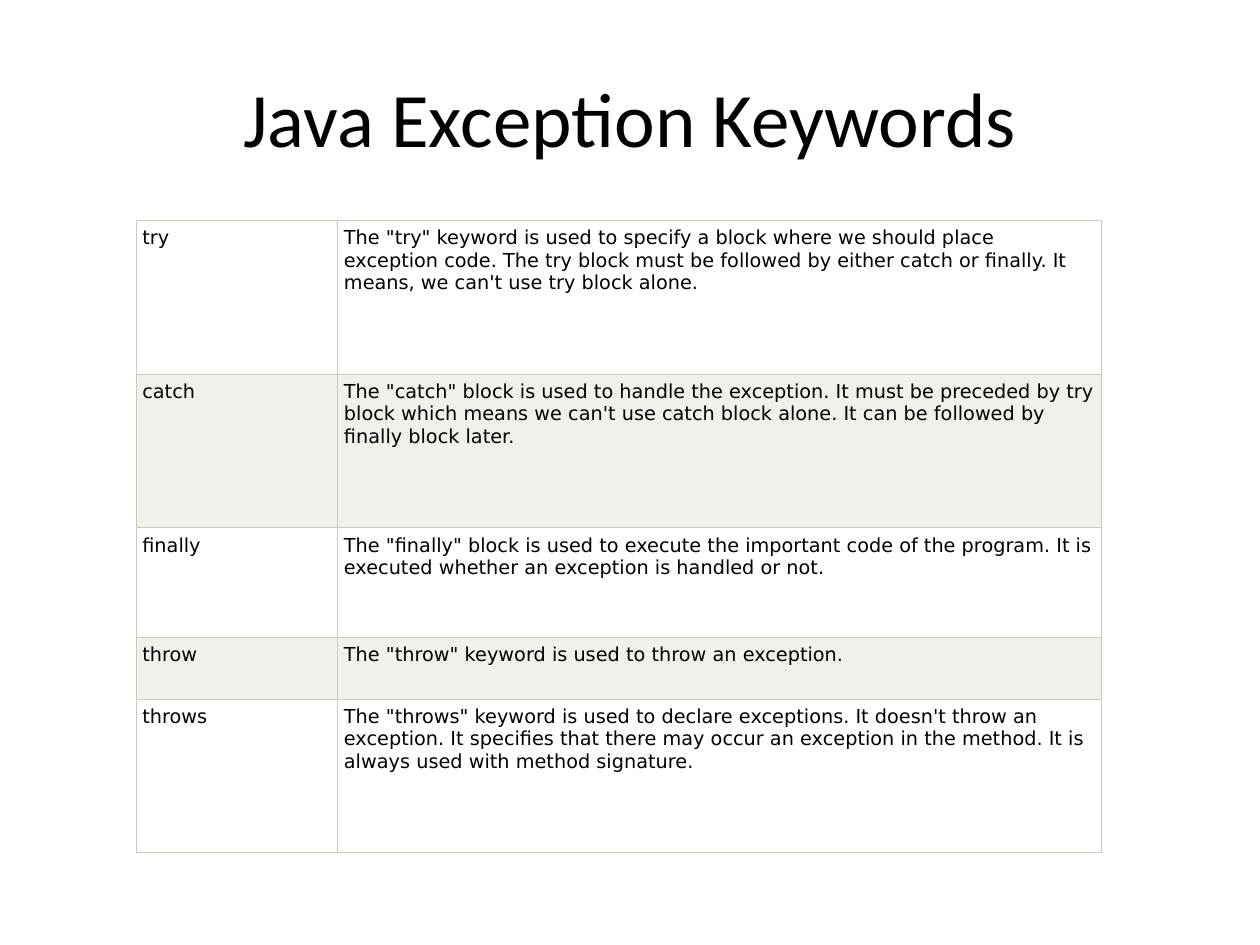
import pptx
import pptx.dml.color
import pptx.enum.text
import pptx.oxml
import pptx.oxml.ns
import pptx.util
from pptx.util import Inches

BLACK = pptx.dml.color.RGBColor(0x00, 0x00, 0x00)
WHITE = pptx.dml.color.RGBColor(0xFF, 0xFF, 0xFF)
PALE_GREEN = pptx.dml.color.RGBColor(0xEF, 0xF1, 0xEB)
BORDER = pptx.dml.color.RGBColor(0xC7, 0xCC, 0xBE)

# Each row: height, keyword, description
KEYWORDS = [
    (1.22, "try",
     'The "try" keyword is used to specify a block where we should place '
     "exception code. The try block must be followed by either catch or "
     "finally. It means, we can't use try block alone."),
    (1.22, "catch",
     'The "catch" block is used to handle the exception. It must be preceded '
     "by try block which means we can't use catch block alone. It can be "
     "followed by finally block later."),
    (0.87, "finally",
     'The "finally" block is used to execute the important code of the '
     "program. It is executed whether an exception is handled or not."),
    (0.49, "throw", 'The "throw" keyword is used to throw an exception.'),
    (1.22, "throws",
     'The "throws" keyword is used to declare exceptions. It doesn\'t throw an '
     "exception. It specifies that there may occur an exception in the method. "
     "It is always used with method signature."),
]


def write_text(frame, text, *, font, size, color=BLACK, align="LEFT"):
    para = frame.paragraphs[0]
    para.alignment = pptx.enum.text.PP_ALIGN[align]
    span = para.add_run()
    span.text = text
    span.font.name = font
    span.font.size = pptx.util.Pt(size)
    span.font.color.rgb = color


class SlideBuilder:
    title_font = "Calibri"
    body_font = "DejaVu Sans"
    cell_margin = Inches(0.05)
    border_width = pptx.util.Pt(0.75)

    def __init__(self, page):
        self.page = page

    def title(self, text, left, top, width, height):
        box = self.page.shapes.title
        box.left, box.top = Inches(left), Inches(top)
        box.width, box.height = Inches(width), Inches(height)
        box.text_frame.vertical_anchor = pptx.enum.text.MSO_ANCHOR.MIDDLE
        write_text(box.text_frame, text, font=self.title_font, size=44, align="CENTER")

    def table(self, rows, left, top, column_widths):
        heights = [row[0] for row in rows]
        table = self.page.shapes.add_table(
            len(rows), len(column_widths), Inches(left), Inches(top),
            Inches(sum(column_widths)), Inches(sum(heights))).table
        table.first_row = False
        table.horz_banding = False
        for column, width in zip(table.columns, column_widths):
            column.width = Inches(width)
        for index, (height, *texts) in enumerate(rows):
            table.rows[index].height = Inches(height)
            fill = PALE_GREEN if index % 2 else WHITE
            for column, text in enumerate(texts):
                self.cell(table.cell(index, column), text, fill)

    def cell(self, cell, text, fill):
        cell.margin_left = cell.margin_right = self.cell_margin
        cell.margin_top = cell.margin_bottom = self.cell_margin
        cell.fill.solid()
        cell.fill.fore_color.rgb = fill
        write_text(cell.text_frame, text, font=self.body_font, size=11)
        # Borders come before the fill in the cell properties
        properties = cell._tc.get_or_add_tcPr()
        for position, side in enumerate(("lnL", "lnR", "lnT", "lnB")):
            properties.insert(position, pptx.oxml.parse_xml(
                f'<a:{side} {pptx.oxml.ns.nsdecls("a")} w="{self.border_width}">'
                f'<a:solidFill><a:srgbClr val="{BORDER}"/></a:solidFill></a:{side}>'))


def main():
    deck = pptx.Presentation()
    deck.slide_width, deck.slide_height = Inches(10), Inches(7.5)
    builder = SlideBuilder(deck.slides.add_slide(deck.slide_layouts[5]))

    # Heading
    builder.title("Java Exception Keywords", 0.5, 0.3, 9, 1.25)

    # Keyword table
    builder.table(KEYWORDS, 1.08, 1.75, (1.6, 6.06))

    deck.save("out.pptx")


if __name__ == "__main__":
    main()
